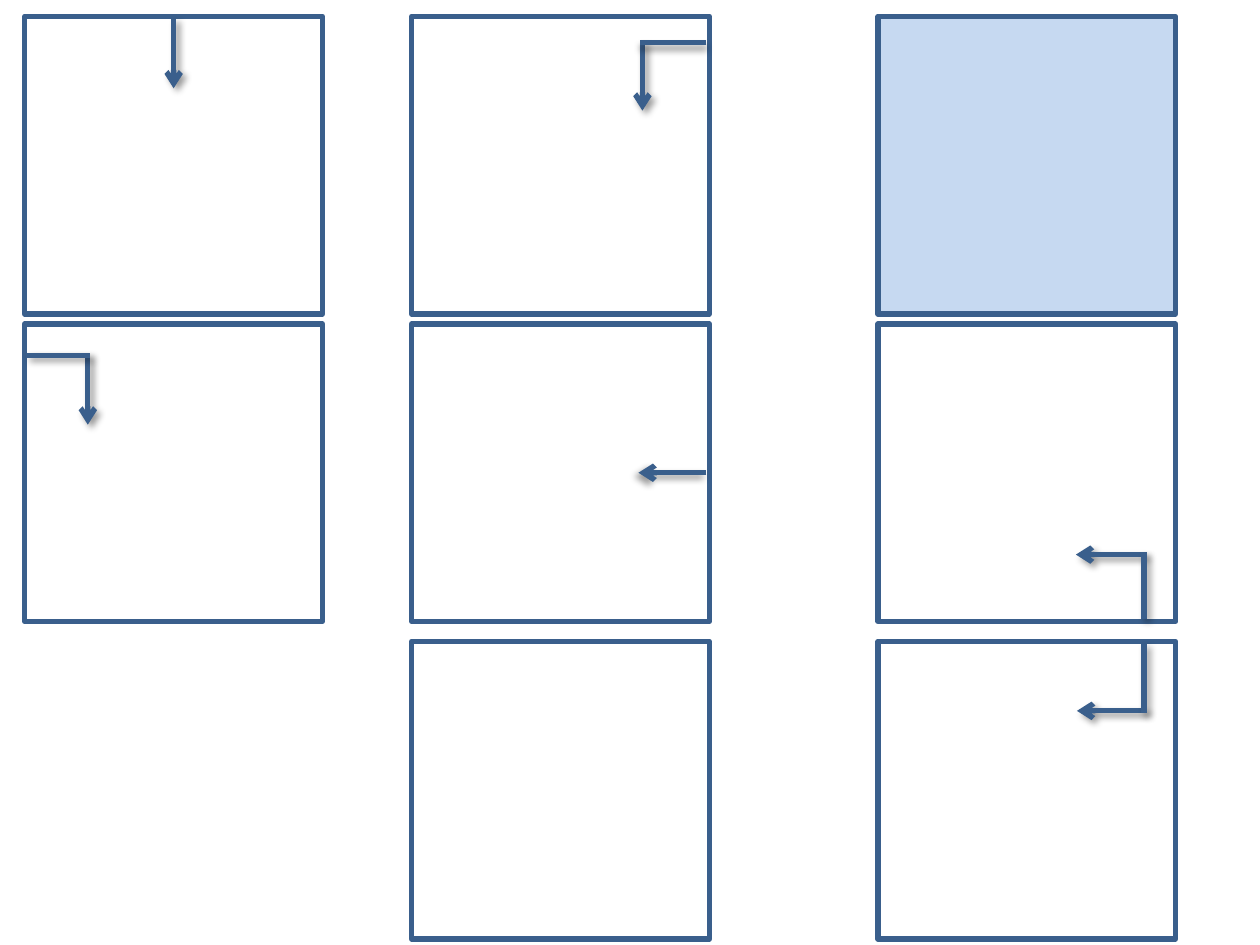
import pptx
import pptx.dml.color
import pptx.enum.shapes
import pptx.oxml
import pptx.oxml.ns
import pptx.util
from pptx.util import Cm

TILE_SIZE = 6
COLUMNS = (0.5, 8.3, 17.7)
ROWS = (0.33, 6.53, 12.93)
OUTLINE = "3A5F8C"

# (column, row, fill, arrow, tail): each line is x1, y1, x2, y2 within
# its tile in cm, then the shadow direction in degrees
TILES = (
    (2, 0, "C6D9F1", None, None),
    (1, 2, "FFFFFF", None, None),
    (0, 0, "FFFFFF", (3, 0.05, 3, 1.45, 45), None),
    (1, 0, "FFFFFF", (4.65, 0.51, 4.65, 1.9, 45), (5.94, 0.53, 4.6, 0.53, 90)),
    (2, 1, "FFFFFF", (5.38, 4.65, 3.99, 4.65, 45), (5.36, 5.94, 5.36, 4.6, 45)),
    (1, 1, "FFFFFF", (5.94, 3, 4.57, 3, 135), None),
    (2, 2, "FFFFFF", (5.41, 1.4, 4.01, 1.4, 45), (5.36, 0.05, 5.36, 1.45, 45)),
    (0, 1, "FFFFFF", (1.27, 0.64, 1.27, 2.03, 45), (0.03, 0.64, 1.32, 0.64, 45)),
)


def color(hex_text):
    return pptx.dml.color.RGBColor.from_string(hex_text)


def set_outline(line):
    line.color.rgb = color(OUTLINE)
    line.width = pptx.util.Pt(3)


def add_square(shapes, left, top, fill):
    square = shapes.add_shape(
        pptx.enum.shapes.MSO_SHAPE.RECTANGLE,
        Cm(left), Cm(top), Cm(TILE_SIZE), Cm(TILE_SIZE))
    square.shadow.inherit = False
    square.fill.solid()
    square.fill.fore_color.rgb = color(fill)
    set_outline(square.line)


def add_shadow(connector, direction):
    connector._element.spPr.append(pptx.oxml.parse_xml(
        f'<a:effectLst {pptx.oxml.ns.nsdecls("a")}>'
        f'<a:outerShdw blurRad="{pptx.util.Pt(4)}" dist="{pptx.util.Pt(3)}" '
        f'dir="{direction * 60000}" algn="tl" rotWithShape="0">'
        '<a:srgbClr val="000000"><a:alpha val="40000"/></a:srgbClr>'
        '</a:outerShdw></a:effectLst>'))


def add_line(shapes, left, top, line, has_head):
    x1, y1, x2, y2, direction = line
    connector = shapes.add_connector(
        pptx.enum.shapes.MSO_CONNECTOR.STRAIGHT,
        Cm(left + x1), Cm(top + y1), Cm(left + x2), Cm(top + y2))
    set_outline(connector.line)
    if has_head:
        connector.line._get_or_add_ln().append(pptx.oxml.parse_xml(
            f'<a:tailEnd {pptx.oxml.ns.nsdecls("a")} type="arrow"/>'))
    add_shadow(connector, direction)


def add_tile(slide, column, row, fill, arrow, tail):
    left, top = COLUMNS[column], ROWS[row]
    # A tile with lines is grouped with them
    shapes = slide.shapes.add_group_shape().shapes if arrow else slide.shapes
    add_square(shapes, left, top, fill)
    if arrow:
        add_line(shapes, left, top, arrow, True)
    if tail:
        add_line(shapes, left, top, tail, False)


def main():
    presentation = pptx.Presentation()
    presentation.slide_width = Cm(25.4)
    presentation.slide_height = Cm(19.05)
    slide = presentation.slides.add_slide(presentation.slide_layouts[6])
    for tile in TILES:
        add_tile(slide, *tile)
    presentation.save("out.pptx")


main()
